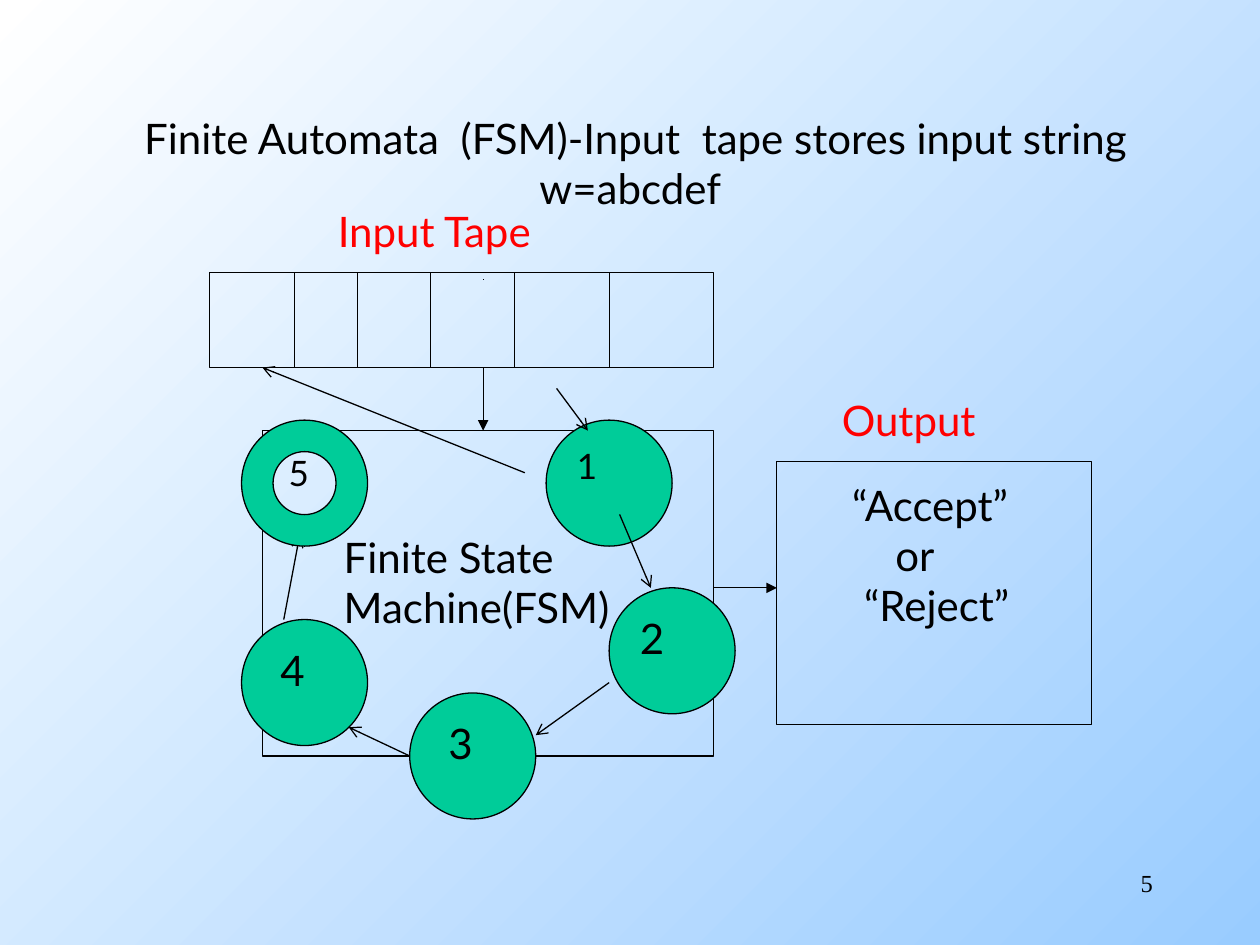
"""Build a slide showing a finite automaton with its input tape and output."""
from dataclasses import dataclass

from lxml import etree
from pptx import Presentation
from pptx.dml.color import RGBColor
from pptx.enum.shapes import MSO_CONNECTOR, MSO_SHAPE
from pptx.enum.text import MSO_ANCHOR, PP_ALIGN
from pptx.oxml.ns import qn
from pptx.util import Cm, Pt

RECTANGLE, OVAL, DONUT = MSO_SHAPE.RECTANGLE, MSO_SHAPE.OVAL, MSO_SHAPE.DONUT
STRAIGHT = MSO_CONNECTOR.STRAIGHT
TOP, MIDDLE = MSO_ANCHOR.TOP, MSO_ANCHOR.MIDDLE
LEFT, CENTER, RIGHT = PP_ALIGN.LEFT, PP_ALIGN.CENTER, PP_ALIGN.RIGHT


@dataclass(frozen=True)
class Theme:
    ink: RGBColor = RGBColor(0, 0, 0)
    label: RGBColor = RGBColor(0xFF, 0, 0)
    state: RGBColor = RGBColor(0, 0xCC, 0x99)
    back: tuple = (RGBColor(0xFF, 0xFF, 0xFF), RGBColor(0x99, 0xCC, 0xFF))
    font: str = "Lato"
    number_font: str = "Times New Roman"
    large: int = 24
    medium: int = 20
    small: int = 14
    stroke: float = 0.75


THEME = Theme()

TAPE = (4.23, 5.5, 10.16, 1.91)
MACHINE = (5.29, 8.68, 9.1, 6.56)
OUTPUT = (15.66, 9.31, 6.35, 5.29)
TAPE_DIVIDERS = (5.93, 7.2, 8.68, 10.37, 12.28)
STATE_SIZE = 2.54

TEXTS = [
    ((18.2, 17.36, 5.29, 1.27), [("5", 0)],
     {"align": RIGHT, "size": THEME.small, "font": THEME.number_font}),
    ((1.91, 1.69, 21.59, 3.18),
     [(" Finite Automata  (FSM)-Input  tape stores input string w=abcdef", 0)],
     {"align": CENTER, "anchor": MIDDLE}),
    ((6.56, 4.02, 6.35, 1.59), [("Input Tape", 0)], {"color": THEME.label}),
    ((16.72, 7.83, 4.27, 1.59), [("Output", 0)], {"color": THEME.label}),
    ((16.09, 9.53, 4.87, 3.32),
     [("“Accept”", 0.84), ("or", 1.71), ("“Reject”", 1.08)], {}),
    ((6.35, 10.58, 6.4, 2.32),
     [("Finite State", 0.33), ("Machine(FSM)", 0.33)], {}),
]
STATES = [
    (12.28, 11.85, "2", 0, {}),
    (8.26, 13.97, "3", 0.16, {}),
    (11.01, 8.47, "1", 0, {"size": THEME.medium}),
    (4.87, 12.49, "4", 0.16, {}),
]
FINAL_STATE = (4.87, 8.47, "5", 0.33, {"size": THEME.medium, "inset": 0.27})
LINES = [
    ((9.74, 7.41), (9.74, 8.68), "triangle"),
    ((14.39, 11.85), (15.66, 11.85), "triangle"),
    ((12.49, 10.37), (13.12, 11.85), "arrow"),
    ((12.28, 13.76), (10.8, 14.82), "arrow"),
    ((8.26, 15.24), (7.03, 14.66), "arrow"),
    ((5.72, 12.49), (6.04, 10.8), "arrow"),
    ((10.58, 9.53), (5.29, 7.41), "arrow"),
    ((11.22, 7.83), (11.85, 8.68), "arrow"),
    ((9.75, 5.64), (9.73, 5.64), None),
]


def write(frame, rows, size=THEME.large, color=THEME.ink, font=THEME.font,
          align=LEFT, anchor=TOP, inset=0.13):
    settings = {"word_wrap": True, "vertical_anchor": anchor,
                "margin_left": Cm(0.25), "margin_right": Cm(0.25),
                "margin_top": Cm(inset), "margin_bottom": Cm(0.13)}
    for name, value in settings.items():
        setattr(frame, name, value)
    for index, (words, indent) in enumerate(rows):
        para = frame.add_paragraph() if index else frame.paragraphs[0]
        para.alignment = align
        if indent:
            para._p.get_or_add_pPr().set("marL", str(Cm(indent)))
        span = para.add_run()
        span.text = words
        for name, value in {"name": font, "size": Pt(size)}.items():
            setattr(span.font, name, value)
        span.font.color.rgb = color


def outline(item):
    item.line.color.rgb = THEME.ink
    item.line.width = Pt(THEME.stroke)


def add_figure(page, kind, place, fill=None):
    figure = page.shapes.add_shape(kind, *map(Cm, place))
    figure.shadow.inherit = False
    if fill is None:
        figure.fill.background()
    else:
        figure.fill.solid()
        figure.fill.fore_color.rgb = fill
    outline(figure)
    return figure


def add_state(page, kind, left, top, name, indent, style):
    place = (left, top, STATE_SIZE, STATE_SIZE)
    figure = add_figure(page, kind, place, THEME.state)
    write(figure.text_frame, [(name, indent)], **style)


def add_line(page, start, end, head=None):
    line = page.shapes.add_connector(STRAIGHT, *map(Cm, start + end))
    outline(line)
    if head:
        etree.SubElement(line.line._get_or_add_ln(), qn("a:tailEnd"), type=head)
    etree.SubElement(line._element.spPr, qn("a:effectLst"))


def build():
    deck = Presentation()
    deck.slide_width, deck.slide_height = Cm(25.4), Cm(19.05)
    page = deck.slides.add_slide(deck.slide_layouts[6])
    back = page.background.fill
    back.gradient()
    back.gradient_angle = 315
    for stop, color in zip(back.gradient_stops, THEME.back):
        stop.color.rgb = color

    for place in (MACHINE, TAPE, OUTPUT):
        add_figure(page, RECTANGLE, place)
    for place, rows, style in TEXTS:
        box = page.shapes.add_textbox(*map(Cm, place))
        write(box.text_frame, rows, **style)
    for state in STATES:
        add_state(page, OVAL, *state)
    top, bottom = TAPE[1], TAPE[1] + TAPE[3]
    for x in TAPE_DIVIDERS:
        add_line(page, (x, top), (x, bottom))
    for line in LINES:
        add_line(page, *line)
    add_state(page, DONUT, *FINAL_STATE)
    deck.save("out.pptx")


build()
